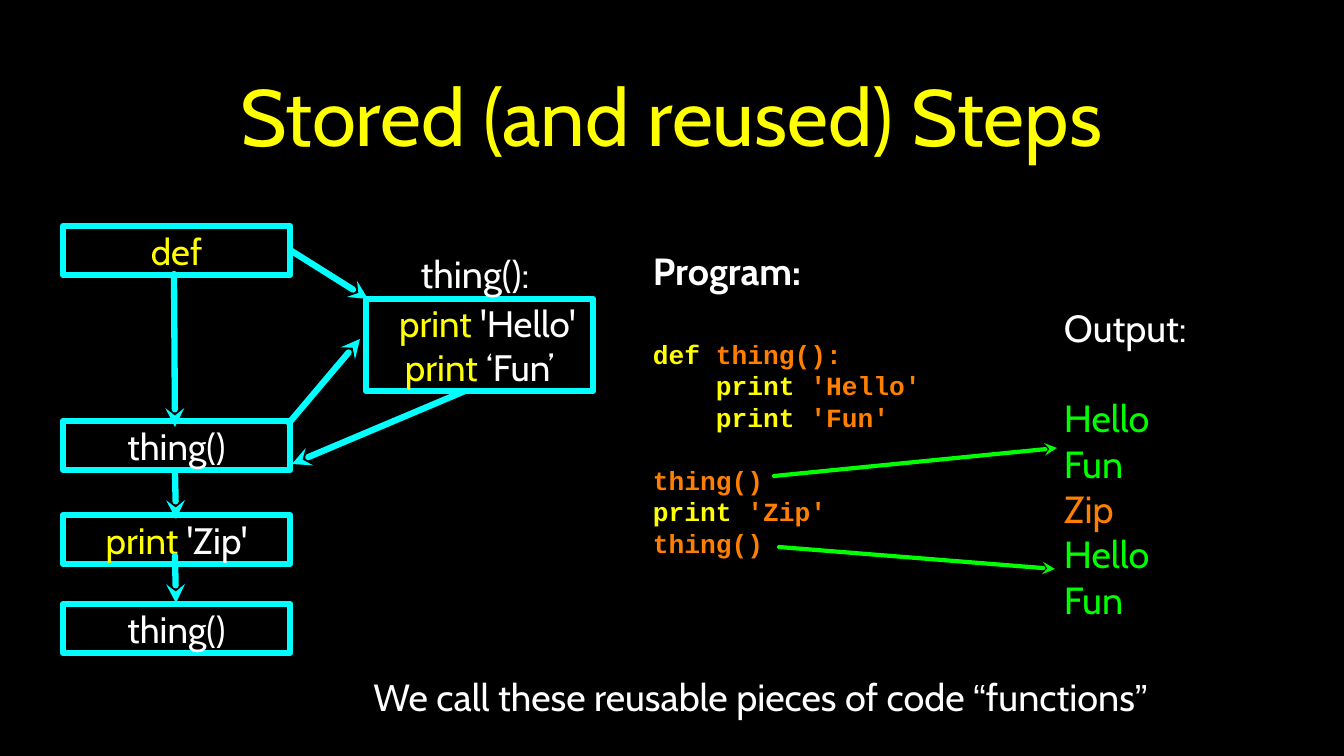
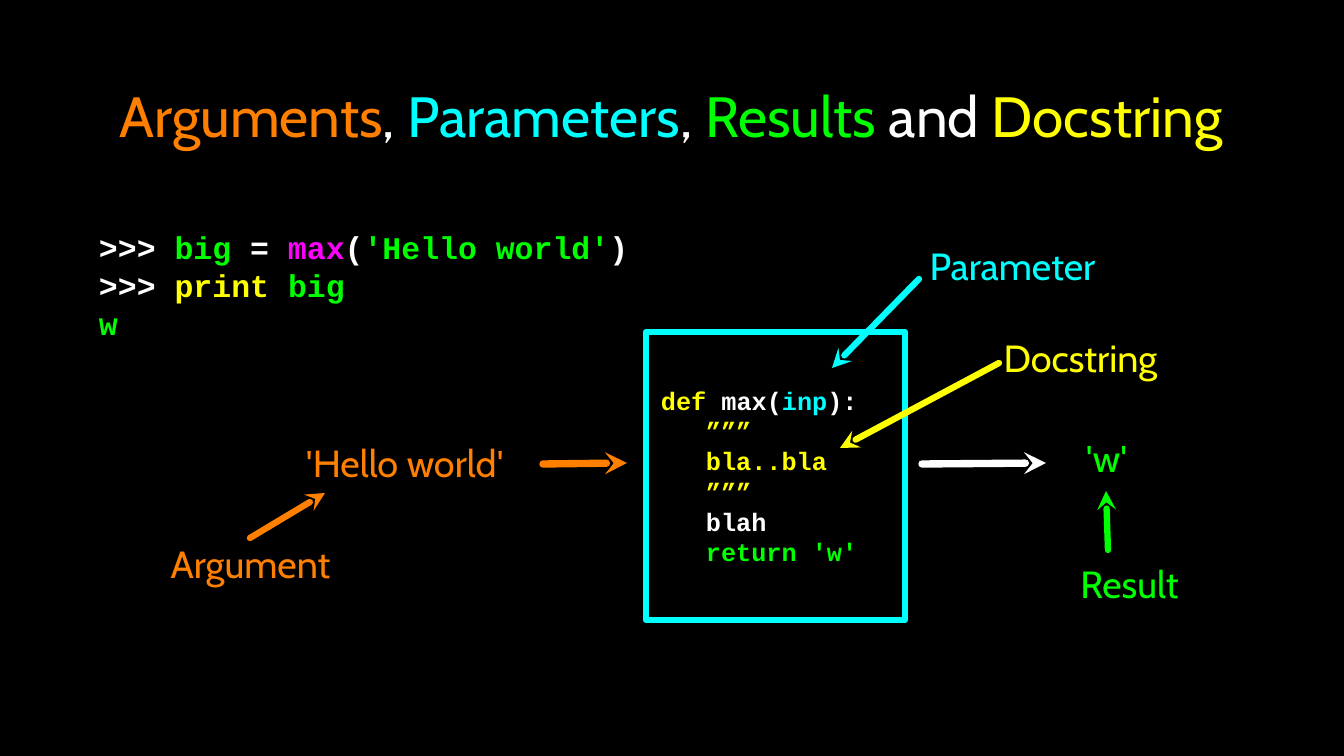
from dataclasses import dataclass

from lxml.etree import SubElement
from pptx import Presentation
from pptx.dml.color import RGBColor
from pptx.enum.shapes import MSO_CONNECTOR as Connector, MSO_SHAPE as Preset
from pptx.enum.text import MSO_ANCHOR as Anchor, MSO_AUTO_SIZE as AutoSize, PP_ALIGN as Align
from pptx.oxml.ns import qn
from pptx.util import Emu, Pt

EMU_PER_PX = 914400 / 75.6
SLIDE_SIZE = (1344, 756)
TITLE_PLACE = (95, 20, 1152, 190)
TITLE_ONLY = 5
LABEL_HEIGHT = 51

BLACK, WHITE, YELLOW = "000000", "FFFFFF", "FFFF00"
CYAN, GREEN, ORANGE, MAGENTA = "00FFFF", "00FF00", "FF7F00", "FF00FF"

QUOTE_FONT = "Arial"
LABEL = dict(name="Cabin", size=36, bold=False)
HEADING = {**LABEL, "bold": True}
STEP = {**LABEL, "size": 35}
CODE = dict(name="Courier New", size=25, bold=True)
CODE_LEADING = 1.2


@dataclass
class Line:
    """One paragraph: runs of (text, colour, optional font), indent in pixels, gap in points."""
    runs: list
    style: dict
    indent: int = 0
    gap: int = 0


def px(length):
    """Turn pixels into EMU."""
    return Emu(round(length * EMU_PER_PX))


def colour(code):
    """Turn a hex string into a colour."""
    return RGBColor.from_string(code)


def write_line(paragraph, line, align):
    """Fill one paragraph with the runs of a line."""
    paragraph.alignment = align
    paragraph.space_before = Pt(line.gap)
    if line.style["name"] == CODE["name"]:
        paragraph.line_spacing = Pt(line.style["size"] * CODE_LEADING)
    if line.indent:
        props = paragraph._p.get_or_add_pPr()
        props.set("marL", str(px(line.indent)))
        props.set("indent", "0")
    for text, code, *font_name in line.runs:
        run = paragraph.add_run()
        run.text = text
        values = {**line.style, "size": Pt(line.style["size"])}
        if font_name:
            values["name"] = font_name[0]
        for key, value in values.items():
            setattr(run.font, key, value)
        run.font.color.rgb = colour(code)


def write(frame, lines, align, inset=0):
    """Set up a text frame and write its lines."""
    values = dict(word_wrap=True, auto_size=AutoSize.NONE, vertical_anchor=Anchor.MIDDLE)
    values.update({f"margin_{side}": px(inset) for side in ("left", "top", "right", "bottom")})
    for key, value in values.items():
        setattr(frame, key, value)
    for number, line in enumerate(lines):
        paragraph = frame.add_paragraph() if number else frame.paragraphs[0]
        write_line(paragraph, line, align)


def add_titled_slide(deck, runs, size):
    """Add a slide whose title holds the given runs."""
    slide = deck.slides.add_slide(deck.slide_layouts[TITLE_ONLY])
    title = slide.shapes.title
    for key, value in zip(("left", "top", "width", "height"), TITLE_PLACE):
        setattr(title, key, px(value))
    write(title.text_frame, [Line(runs, {**LABEL, "size": size})], Align.CENTER, inset=3)
    return slide


def add_text(slide, place, lines, align=Align.LEFT):
    """Add a block of free text."""
    block = slide.shapes.add_textbox(*map(px, place))
    write(block.text_frame, lines, align)


def add_label(slide, left, top, width, *runs):
    """Add a centred one-line label."""
    add_text(slide, (left, top, width, LABEL_HEIGHT), [Line(runs, LABEL)], Align.CENTER)


def style_outline(shape, code, points):
    """Give a shape or connector a round-jointed line, and return its XML."""
    shape.line.color.rgb = colour(code)
    shape.line.width = Pt(points)
    outline = shape.line._get_or_add_ln()
    SubElement(outline, qn("a:round"))
    return outline


def add_box(slide, place, lines, align=Align.CENTER):
    """Add an unfilled cyan box with text."""
    box = slide.shapes.add_shape(Preset.RECTANGLE, *map(px, place))
    box.shadow.inherit = False
    box.fill.background()
    style_outline(box, CYAN, 6)
    write(box.text_frame, lines, align)


def add_arrow(slide, tail, tip, code, points=6):
    """Add a straight arrow that points at its tip."""
    arrow = slide.shapes.add_connector(Connector.STRAIGHT, *map(px, (*tail, *tip)))
    outline = style_outline(arrow, code, points)
    outline.set("cap", "rnd")
    SubElement(outline, qn("a:tailEnd"), type="stealth")
    SubElement(arrow._element.spPr, qn("a:effectLst"))


def build_stored_steps(deck):
    """Slide 1: flow of a function, its program and its output."""
    slide = add_titled_slide(deck, [("Stored (and reused) Steps", YELLOW)], 76)

    steps = [
        (226, [("def", YELLOW)]),
        (421, [("thing()", WHITE)]),
        (515, [("print ", YELLOW), ("'Zip'", WHITE)]),
        (604, [("thing()", WHITE)]),
    ]
    for top, runs in steps:
        add_box(slide, (63, top, 227, 49), [Line(runs, STEP)])
    add_box(slide, (366, 299, 227, 92), [
        Line([("print", YELLOW), (" 'Hello'", WHITE)], STEP, indent=16),
        Line([("print", YELLOW), (" ‘Fun’", WHITE)], STEP),
    ])
    add_label(slide, 417, 248, 116, ("thing():", WHITE))

    flow = [
        ((174, 274), (175, 427)),
        ((175, 472), (176, 519)),
        ((175, 556), (176, 603)),
        ((290, 250), (368, 299)),
        ((289, 423), (360, 339)),
        ((465, 391), (292, 464)),
    ]
    for tail, tip in flow:
        add_arrow(slide, tail, tip, CYAN)

    call = [("thing()", ORANGE)]
    body = [Line([("print", YELLOW), (f" '{word}'", ORANGE)], CODE, indent=63)
            for word in ("Hello", "Fun")]
    add_text(slide, (653, 246, 271, 314), [
        Line([("Program:", WHITE)], HEADING),
        Line([("def", YELLOW), (" thing():", ORANGE)], CODE, gap=43),
        *body,
        Line(call, CODE, gap=30),
        Line([("print", YELLOW), (" 'Zip'", ORANGE)], CODE),
        Line(call, CODE),
    ])

    printed = [("Hello", GREEN), ("Fun", GREEN), ("Zip", ORANGE), ("Hello", GREEN), ("Fun", GREEN)]
    add_text(slide, (1064, 308, 262, 310), [
        Line([("Output:", WHITE)], LABEL),
        *(Line([word], LABEL, gap=0 if number else 43) for number, word in enumerate(printed)),
    ])
    for tail, tip in [((774, 476), (1057, 448)), ((779, 547), (1055, 569))]:
        add_arrow(slide, tail, tip, GREEN, 4)

    add_label(slide, 320, 671, 881,
              ("We call these reusable pieces of code ", WHITE), ("“", WHITE, QUOTE_FONT),
              ("functions", WHITE), ("”", WHITE, QUOTE_FONT))


def build_function_parts(deck):
    """Slide 2: the parts of a function and of its call."""
    slide = add_titled_slide(deck, [
        ("Arguments", ORANGE), (", ", WHITE), ("Parameters", CYAN), (", ", WHITE),
        ("Results ", GREEN), ("and ", WHITE), ("Docstring", YELLOW),
    ], 54)

    session = {**CODE, "size": 30}
    prompt = (">>> ", WHITE)
    add_text(slide, (99, 216, 624, 138), [
        Line([prompt, ("big", GREEN), (" = ", WHITE), ("max", MAGENTA), ("(", WHITE),
              ("'Hello world'", GREEN), (")", WHITE)], session),
        Line([prompt, ("print ", YELLOW), ("big", GREEN)], session),
        Line([("w", GREEN)], session),
    ])

    definition = {**CODE, "size": 24}
    body = [("”””", YELLOW), ("bla..bla", YELLOW), ("”””", YELLOW),
            ("blah", WHITE), ("return 'w'", GREEN)]
    add_box(slide, (646, 332, 259, 288), [
        Line([("def", YELLOW), (" max(", WHITE), ("inp", CYAN), ("):", WHITE)],
             definition, indent=15),
        *(Line([statement], definition, indent=60) for statement in body),
    ], Align.LEFT)

    add_label(slide, 292, 437, 236, ("'", ORANGE, QUOTE_FONT), ("Hello world", ORANGE),
              ("' ", ORANGE, QUOTE_FONT))
    add_label(slide, 1080, 432, 53, ("'", GREEN, QUOTE_FONT), ("w", GREEN),
              ("'", GREEN, QUOTE_FONT))
    names = [
        (169, 538, 163, "Argument", ORANGE),
        (928, 240, 169, "Parameter", CYAN),
        (1077, 558, 105, "Result", GREEN),
        (996, 332, 169, "Docstring", YELLOW),
    ]
    for left, top, width, name, code in names:
        add_label(slide, left, top, width, (name, code))

    arrows = [
        ((543, 464), (627, 463), ORANGE, 7),
        ((922, 464), (1046, 463), WHITE, 7),
        ((250, 538), (325, 493), ORANGE, 6),
        ((919, 279), (832, 368), CYAN, 6),
        ((1108, 550), (1106, 491), GREEN, 6),
        ((999, 363), (840, 448), YELLOW, 6),
    ]
    for arrow in arrows:
        add_arrow(slide, *arrow)


def main():
    """Build the deck and save it."""
    deck = Presentation()
    deck.slide_width, deck.slide_height = map(px, SLIDE_SIZE)
    backdrop = deck.slide_master.background.fill
    backdrop.solid()
    backdrop.fore_color.rgb = colour(BLACK)
    build_stored_steps(deck)
    build_function_parts(deck)
    deck.save("out.pptx")


main()
